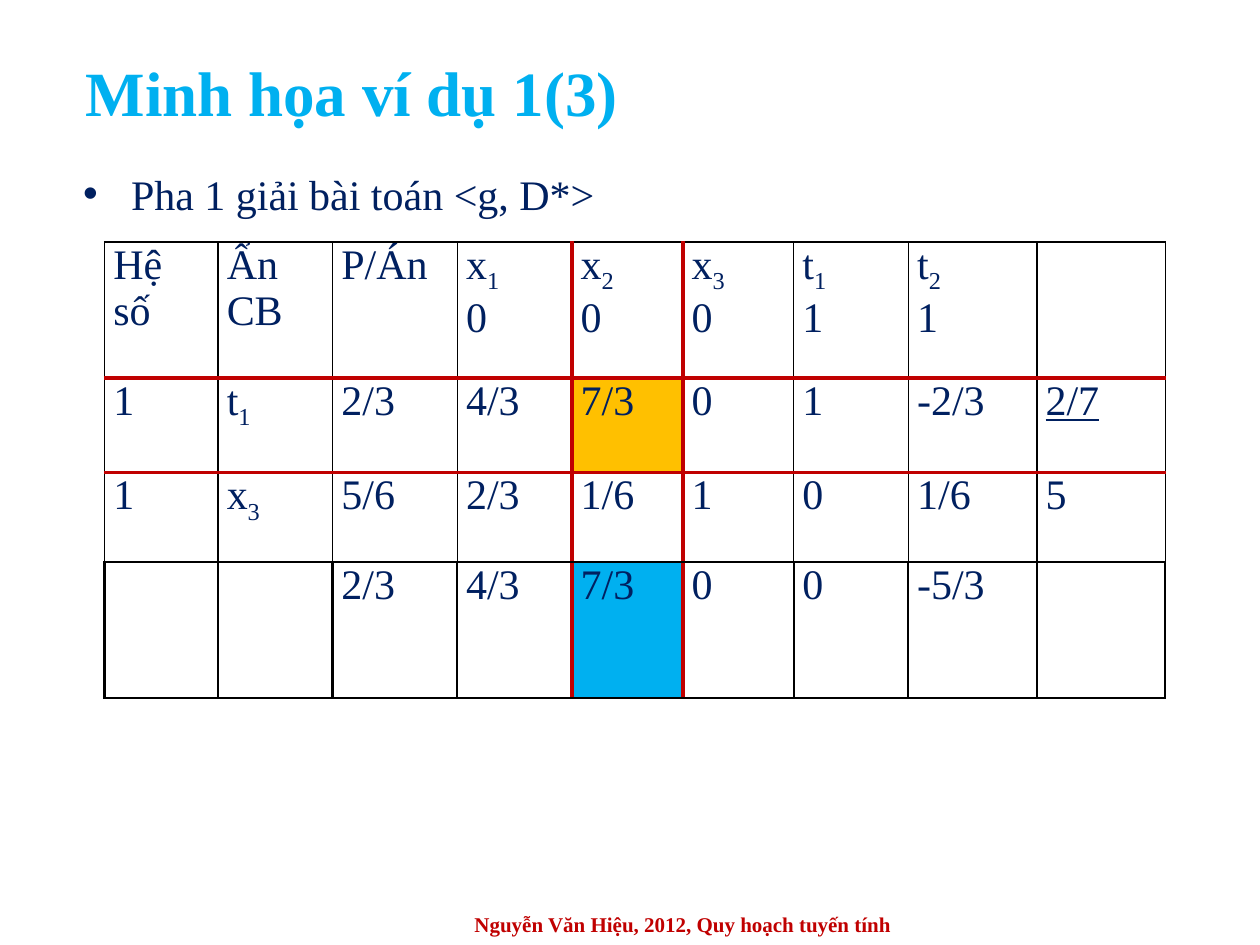
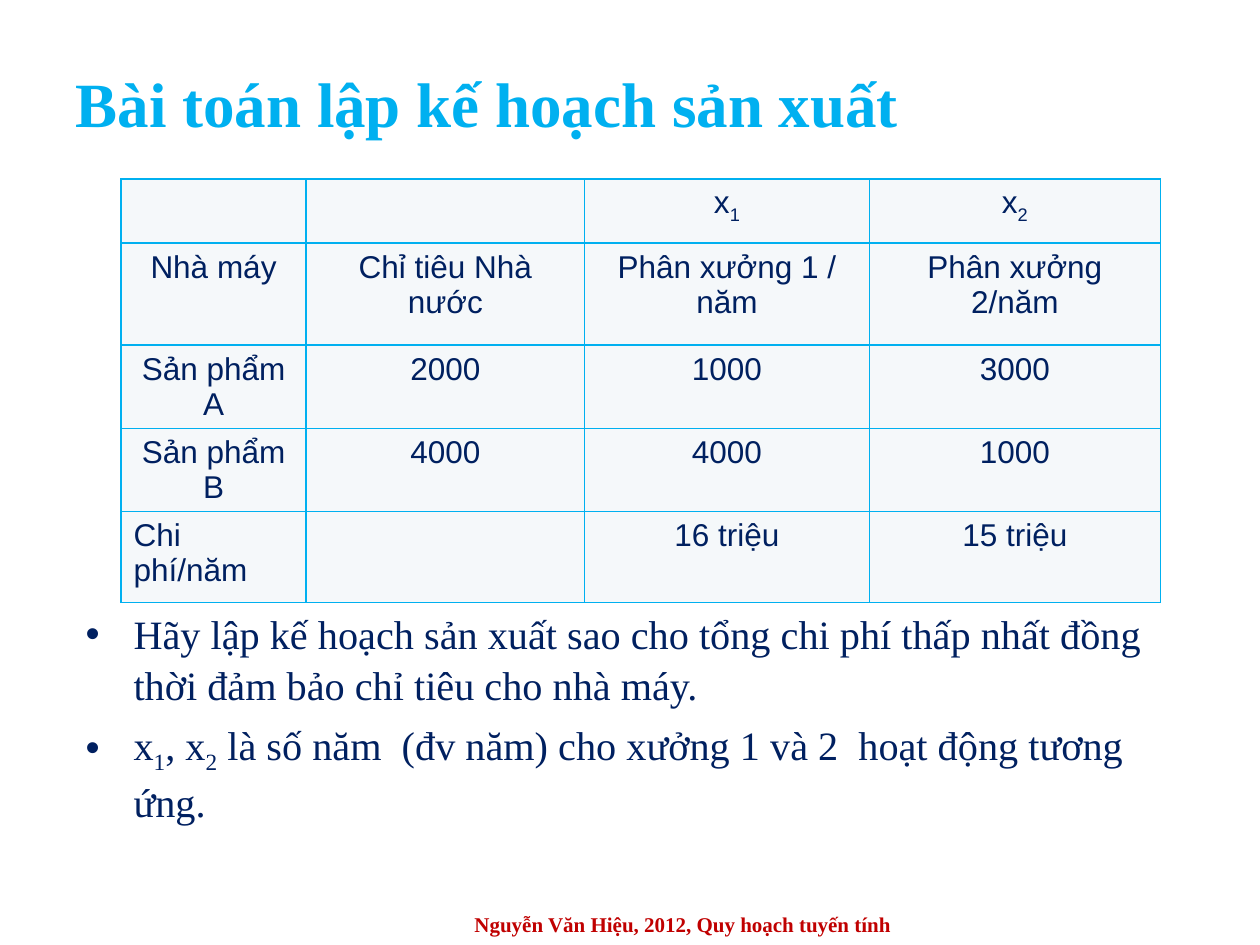
from dataclasses import dataclass

from lxml import etree
from pptx import Presentation
from pptx.dml.color import RGBColor
from pptx.enum.text import MSO_ANCHOR, MSO_AUTO_SIZE, PP_ALIGN
from pptx.oxml.ns import qn
from pptx.util import Inches, Pt

LEFT, MID, JUST = PP_ALIGN.LEFT, PP_ALIGN.CENTER, PP_ALIGN.JUSTIFY
TOP, CENTER = MSO_ANCHOR.TOP, MSO_ANCHOR.MIDDLE
FIXED = MSO_AUTO_SIZE.NONE


@dataclass(frozen=True)
class Theme:
    serif: str = "Times New Roman"
    sans: str = "Arial"
    sky: str = "00B0F0"
    navy: str = "002060"
    red: str = "C00000"
    gold: str = "FFC000"
    black: str = "000000"
    pale: str = "F5F8FA"
    head: int = 36
    text: int = 24
    note: int = 23
    cell: int = 18
    foot: int = 12
    lead: float = 1.06


T = Theme()


# Text: "_" lowers the character that follows it
def write(para, text, size, color, face=T.serif, bold=False, align=LEFT):
    para.alignment = align
    font = para.font
    font.name, font.size, font.bold = face, Pt(size), bold
    font.color.rgb = RGBColor.from_string(color)
    first, *rest = text.split("_")
    para.add_run().text = first
    for part in rest:
        low = para.add_run()
        low.text = part[0]
        low._r.get_or_add_rPr().set("baseline", "-25000")
        if part[1:]:
            para.add_run().text = part[1:]


def place(shape, box):
    shape.left, shape.top, shape.width, shape.height = map(Inches, box)


def frame(shape, anchor, pad):
    area = shape.text_frame
    area.word_wrap = True
    area.auto_size = FIXED
    area.vertical_anchor = anchor
    area.margin_left = area.margin_right = Inches(0.1)
    area.margin_top = area.margin_bottom = Inches(pad)
    return area


def bullet(para, indent, hang):
    props = para._p.get_or_add_pPr()
    props.set("marL", str(Inches(indent)))
    props.set("indent", str(-Inches(hang)))
    color = etree.Element(qn("a:buClr"))
    etree.SubElement(color, qn("a:srgbClr"), val=T.navy)
    font = etree.Element(qn("a:buFont"), typeface=T.sans)
    char = etree.Element(qn("a:buChar"), char="•")
    spot = props.find(qn("a:defRPr"))
    for item in (color, font, char):
        spot.addprevious(item)


# Parts shared by the slides
def title(slide, box, text, anchor, pad):
    shape = slide.shapes.title
    place(shape, box)
    para = frame(shape, anchor, pad).paragraphs[0]
    write(para, text, T.head, T.sky, bold=True)
    para.line_spacing = T.lead


def points(slide, box, lines, size, pad):
    shape = slide.placeholders[1]
    place(shape, box)
    area = frame(shape, TOP, pad)
    for i, line in enumerate(lines):
        para = area.add_paragraph() if i else area.paragraphs[0]
        write(para, line, size, T.navy)
        para.line_spacing = T.lead
        para.space_before = Pt(4.8 if i else 0)
        bullet(para, 0.38, 0.38)


def footer(slide):
    shape = slide.shapes.add_textbox(*map(Inches, (2.92, 7.17, 5, 0.33)))
    para = frame(shape, CENTER, 0.05).paragraphs[0]
    write(para, "Nguyễn Văn Hiệu, 2012, Quy hoạch tuyến tính",
          T.foot, T.red, bold=True, align=MID)


# Tables
def border(cell, edges):
    props = cell._tc.get_or_add_tcPr()
    for side, (color, width) in zip("LRTB", edges):
        line = etree.SubElement(props, qn("a:ln" + side), w=str(Pt(width)))
        fill = etree.SubElement(line, qn("a:solidFill"))
        etree.SubElement(fill, qn("a:srgbClr"), val=color)


def paint(cell, color):
    if color:
        cell.fill.solid()
        cell.fill.fore_color.rgb = RGBColor.from_string(color)
    else:
        cell.fill.background()


def grid(slide, left, top, cols, rows, data, style):
    """Add a table; style(cell, row, col, text) dresses each cell."""
    box = map(Inches, (left, top, sum(cols), sum(rows)))
    table = slide.shapes.add_table(len(rows), len(cols), *box).table
    table.first_row = table.horz_banding = False
    for col, width in zip(table.columns, cols):
        col.width = Inches(width)
    for row, height in zip(table.rows, rows):
        row.height = Inches(height)
    for r, line in enumerate(data):
        for c, text in enumerate(line):
            style(table.cell(r, c), r, c, text)
    return table


# Simplex table: red rules frame the pivot row and column
def pivot(cell, row, col, text):
    thin = (T.black, 1.5 if row == 3 else 1)
    red = (T.red, 2.25)
    sides = [red if n in (4, 5) else thin for n in (col, col + 1)]
    ends = [red if n in (1, 2) else (T.black, 1.5 if n > 2 else 1)
            for n in (row, row + 1)]
    border(cell, sides + ends)
    paint(cell, {(1, 4): T.gold, (3, 4): T.sky}.get((row, col)))
    cell.margin_left = cell.margin_right = Inches(0.07)
    cell.margin_top = cell.margin_bottom = 0
    area = cell.text_frame
    for i, line in enumerate(text.split("\n") if text else []):
        para = area.add_paragraph() if i else area.paragraphs[0]
        write(para, line, T.text, T.navy, align=JUST)


# Factory table: one pale fill, sky rules all round
def plant(cell, row, col, text):
    border(cell, [(T.sky, 1)] * 4)
    paint(cell, T.pale)
    if text:
        align = LEFT if (row, col) == (4, 0) else MID
        write(cell.text_frame.paragraphs[0], text, T.cell, T.navy,
              T.sans, align=align)


SIMPLEX = [
    ["Hệ số", "Ẩn CB", "P/Án", "x_1\n0", "x_2\n0", "x_3\n0", "t_1\n1",
     "t_2\n1", ""],
    ["1", "t_1", "2/3", "4/3", "7/3", "0", "1", "-2/3", "2/7"],
    ["1", "x_3", "5/6", "2/3", "1/6", "1", "0", "1/6", "5"],
    ["", "", "2/3", "4/3", "7/3", "0", "0", "-5/3", ""],
]
FACTORY = [
    ["", "", "x_1", "x_2"],
    ["Nhà máy", "Chỉ tiêu Nhà nước", "Phân xưởng 1 / năm",
     "Phân xưởng 2/năm"],
    ["Sản phẩm A", "2000", "1000", "3000"],
    ["Sản phẩm B", "4000", "4000", "1000"],
    ["Chi phí/năm", "", "16 triệu", "15 triệu"],
]


def example(slide):
    title(slide, (0.58, 0.29, 7.16, 0.81), "Minh họa ví dụ 1(3)", TOP, 0.1)
    points(slide, (0.56, 1.21, 8.42, 0.61),
           ["Pha 1 giải bài toán <g, D*>"], T.text, 0.1)
    table = grid(slide, 0.83, 1.92,
                 [0.9, 0.91, 0.99, 0.91, 0.88, 0.88, 0.91, 1.02, 1.02],
                 [1.08, 0.75, 0.71, 1.08], SIMPLEX, pivot)
    ratio = table.cell(1, 8).text_frame.paragraphs[0]
    ratio.runs[0].font.underline = True
    footer(slide)


def problem(slide):
    title(slide, (0.5, 0.42, 9, 0.75), "Bài toán lập kế hoạch sản xuất",
          CENTER, 0.05)
    points(slide, (0.58, 4.76, 9, 2.07), [
        "Hãy lập kế hoạch sản xuất sao cho tổng chi phí thấp nhất đồng "
        "thời đảm bảo chỉ tiêu cho nhà máy.",
        "x_1, x_2 là số năm  (đv năm) cho xưởng 1 và 2  hoạt động tương "
        "ứng.",
    ], T.note, 0.05)
    grid(slide, 0.96, 1.42, [1.47, 2.21, 2.26, 2.31],
         [0.51, 0.81, 0.66, 0.66, 0.72], FACTORY, plant)
    footer(slide)


def main():
    deck = Presentation()
    deck.slide_width, deck.slide_height = Inches(10), Inches(7.5)
    for build in (example, problem):
        build(deck.slides.add_slide(deck.slide_layouts[1]))
    deck.save("out.pptx")


if __name__ == "__main__":
    main()
